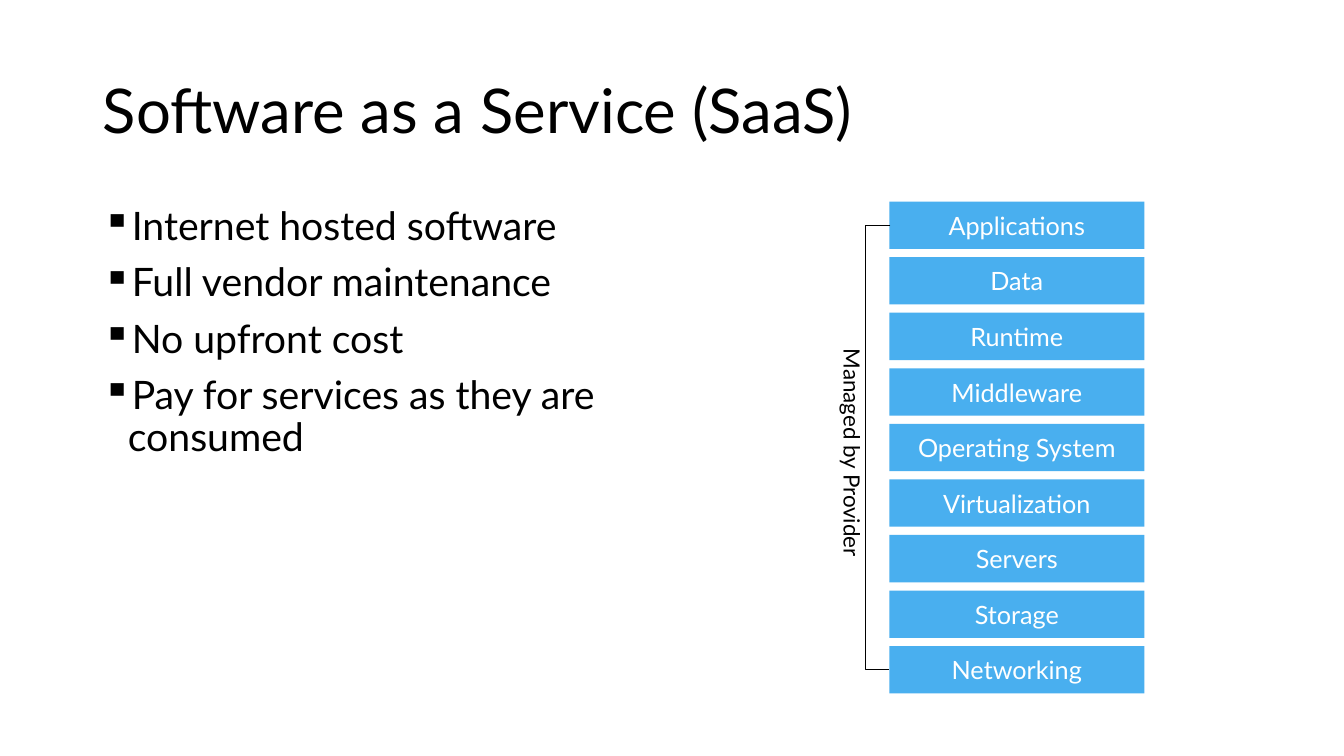
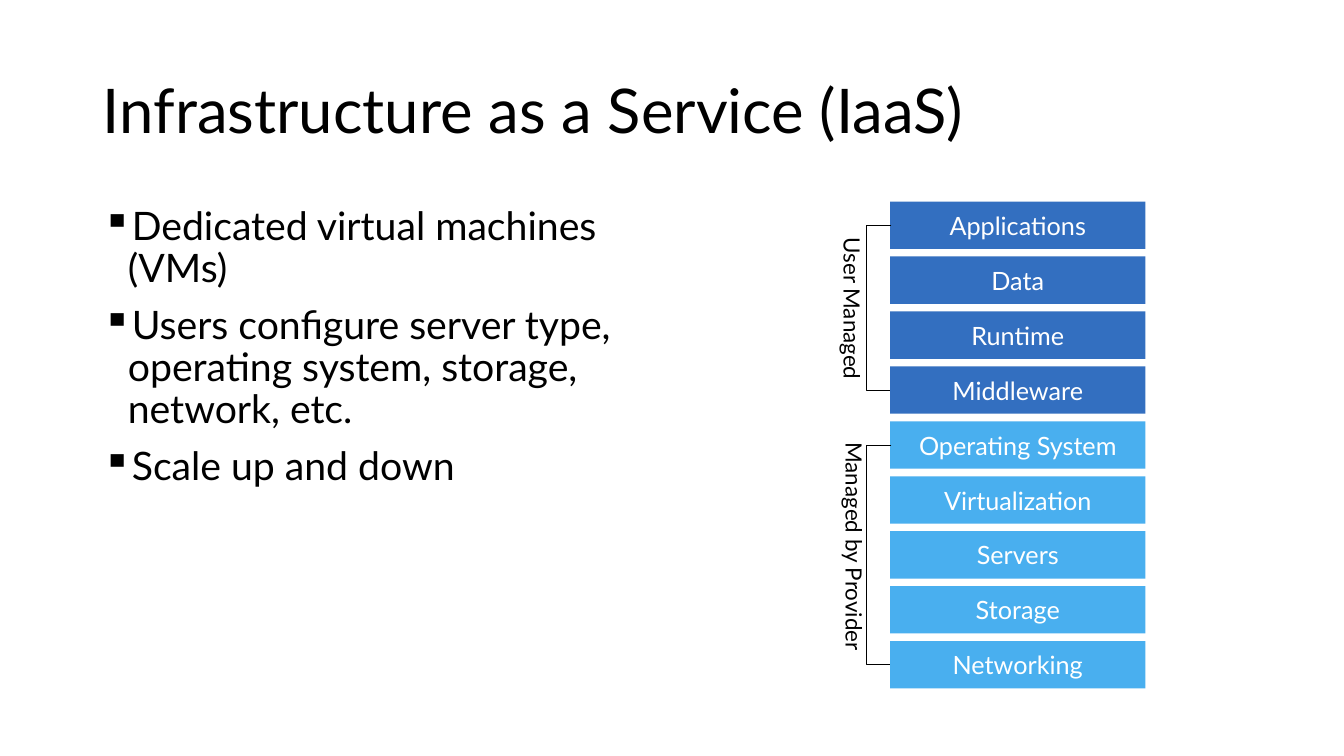
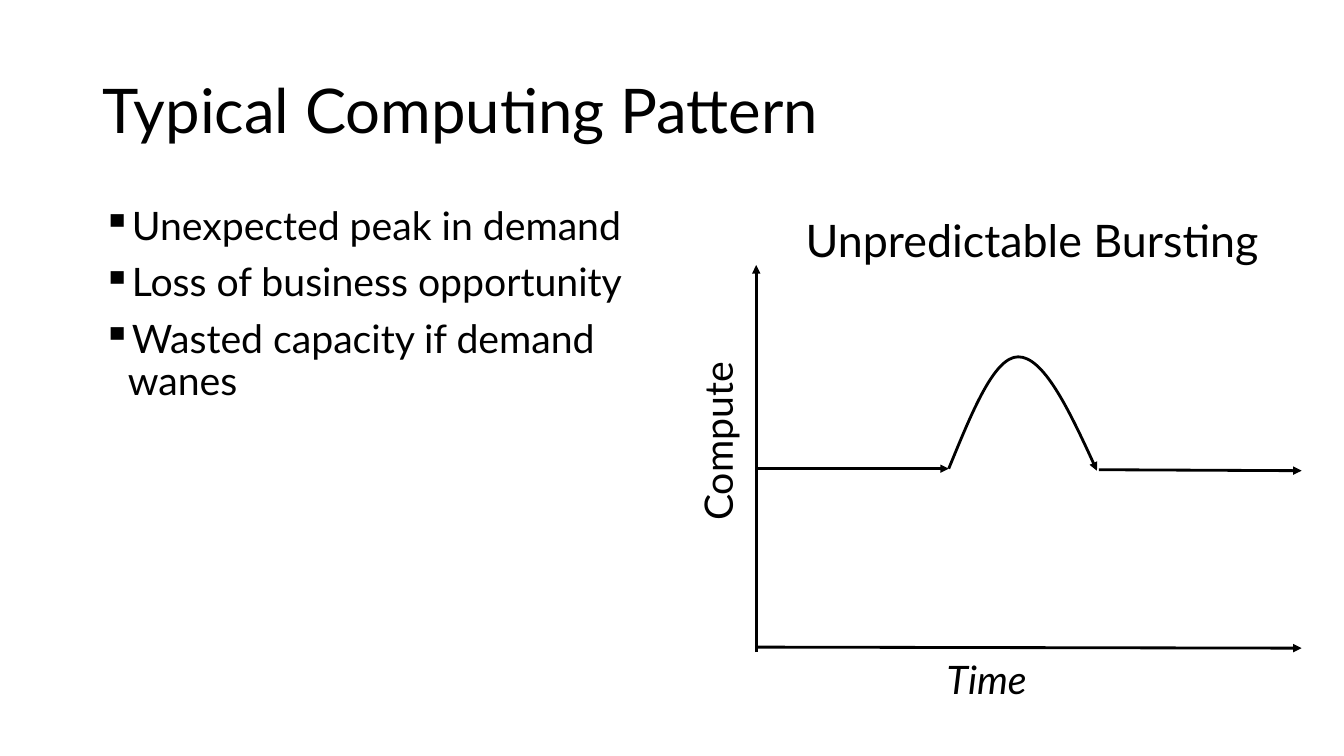
import pptx
import pptx.dml.color
import pptx.enum.dml
import pptx.enum.shapes
import pptx.enum.text
import pptx.oxml.ns
import pptx.util

FONT = "Lato"
BLACK = pptx.dml.color.RGBColor(0x00, 0x00, 0x00)
WHITE = pptx.dml.color.RGBColor(0xFF, 0xFF, 0xFF)
LIGHT = pptx.dml.color.RGBColor(0x49, 0xAF, 0xEF)
DARK = pptx.dml.color.RGBColor(0x33, 0x6F, 0xC0)

LAYERS = ["Applications", "Data", "Runtime", "Middleware", "Operating System",
          "Virtualization", "Servers", "Storage", "Networking"]
TITLE = (0.92, 0.4, 11.5, 1.45)
BODY = (0.92, 2, 5.67, 4.76)
LAYER = 0.47
REACH = 0.25
HAIR = 0.01


def inch(*sizes):
    """Turn numbers into lengths."""
    return [pptx.util.Inches(size) for size in sizes]


def find(shape, tag):
    """Return the first XML part of a shape with this tag."""
    return shape.element.find(".//" + pptx.oxml.ns.qn(tag))


def write(para, text, size, color=BLACK, italic=None):
    """Add one run of text."""
    run = para.add_run()
    run.text = text
    run.font.name = FONT
    run.font.size = pptx.util.Pt(size)
    run.font.color.rgb = color
    run.font.italic = italic


def label(slide, box, text, size, pads=(0, 0), space=None, italic=None):
    """Place a one-line text box and return it."""
    shape = slide.shapes.add_textbox(*inch(*box))
    frame = shape.text_frame
    frame.word_wrap = True
    frame.margin_left = frame.margin_right = pptx.util.Inches(pads[0])
    frame.margin_top = frame.margin_bottom = pptx.util.Inches(pads[1])
    para = frame.paragraphs[0]
    para.line_spacing = space
    write(para, text, size, italic=italic)
    return shape


def stroke(shape, width, arrow=True):
    """Give a line its black pen and arrowhead."""
    shape.line.color.rgb = BLACK
    shape.line.width = pptx.util.Pt(width)
    if arrow:
        pen = find(shape, "a:ln")
        pen.append(pen.makeelement(pptx.oxml.ns.qn("a:tailEnd"), {"type": "triangle"}))


def link(slide, kind, ends, width, arrow=True):
    """Draw a connector without shadow."""
    line = slide.shapes.add_connector(kind, *inch(*ends))
    stroke(line, width, arrow)
    props = find(line, "p:spPr")
    props.append(props.makeelement(pptx.oxml.ns.qn("a:effectLst"), {}))
    return line


def start(deck, title, points):
    """Add a slide with its title and bullets."""
    slide = deck.slides.add_slide(deck.slide_layouts[5])
    head = slide.shapes.title
    head.left, head.top, head.width, head.height = inch(*TITLE)
    head.text_frame.vertical_anchor = pptx.enum.text.MSO_ANCHOR.MIDDLE
    para = head.text_frame.paragraphs[0]
    para.alignment = pptx.enum.text.PP_ALIGN.LEFT
    para.line_spacing = 0.9
    write(para, title, 44)
    bullets(slide, BODY, points)
    return slide


def bullets(slide, box, points):
    """List the points with square bullets."""
    frame = slide.shapes.add_textbox(*inch(*box)).text_frame
    frame.word_wrap = True
    for spot, point in enumerate(points):
        para = frame.add_paragraph() if spot else frame.paragraphs[0]
        para.line_spacing = 0.9
        para.space_before = pptx.util.Pt(10)
        write(para, point, 28)
        props = para._p.get_or_add_pPr()
        props.set("marL", str(pptx.util.Inches(0.25)))
        props.set("indent", str(pptx.util.Inches(-0.25)))
        mark = props.makeelement(pptx.oxml.ns.qn("a:buChar"), {"char": "▪"})
        props.append(mark)


def stack(slide, box, owned, groups):
    """Draw the layers, the top ones owned by the user, and their brackets."""
    left, top, width, height = box
    step = (height - LAYER) / (len(LAYERS) - 1)
    for row, name in enumerate(LAYERS):
        place = inch(left, top + row * step, width, LAYER)
        bar = slide.shapes.add_shape(pptx.enum.shapes.MSO_SHAPE.RECTANGLE, *place)
        bar.shadow.inherit = False
        bar.fill.solid()
        bar.fill.fore_color.rgb = DARK if row < owned else LIGHT
        bar.line.fill.background()
        bar.text_frame.vertical_anchor = pptx.enum.text.MSO_ANCHOR.MIDDLE
        para = bar.text_frame.paragraphs[0]
        para.alignment = pptx.enum.text.PP_ALIGN.CENTER
        write(para, name, 18, WHITE)
    for first, last, text, right, down, length in groups:
        middle = top + LAYER / 2
        bracket(slide, left, middle + first * step, middle + last * step)
        note = label(slide, (left + right, top + down, 0.25, length), text, 16, space=0.9)
        note.text_frame.word_wrap = False
        note.text_frame.auto_size = pptx.enum.text.MSO_AUTO_SIZE.SHAPE_TO_FIT_TEXT
        find(note, "a:bodyPr").set("vert", "eaVert")


def bracket(slide, left, top, bottom):
    """Join two layers by an elbow that bulges to the left."""
    line = link(slide, pptx.enum.shapes.MSO_CONNECTOR.ELBOW,
                (left, top, left + HAIR, bottom), 0.5, False)
    frame = find(line, "a:xfrm")
    frame.set("rot", "10800000")
    frame.set("flipV", "1")
    bends = find(line, "a:avLst")
    ratio = round(REACH / HAIR * 100000)
    bends.append(bends.makeelement(pptx.oxml.ns.qn("a:gd"),
                                   {"name": "adj1", "fmla": f"val {ratio}"}))


def curve(slide, points):
    """Draw an arrow along cubic curves through the control points."""
    spots = [tuple(inch(*point)) for point in points]
    maker = slide.shapes.build_freeform(*spots[0])
    maker.add_line_segments(spots[1:], close=False)
    shape = maker.convert_to_shape()
    shape.shadow.inherit = False
    shape.fill.background()
    stroke(shape, 2)
    trace = find(shape, "a:path")
    lines = trace.findall(pptx.oxml.ns.qn("a:lnTo"))
    for first in range(0, len(lines), 3):
        bend = trace.makeelement(pptx.oxml.ns.qn("a:cubicBezTo"), {})
        for line in lines[first:first + 3]:
            bend.append(line[0])
            trace.remove(line)
        trace.append(bend)


def burst(slide, box):
    """Sketch compute demand over time with one peak."""
    left, top, width, height = box
    right, base = left + width, top + height
    level = top + 2.02
    rise, fall = left + 1.91, left + 3.38
    for ends in [(left, base, left, top),
                 (left, base - 0.05, right, base - 0.04),
                 (left, level, rise, level),
                 (fall + 0.02, level + 0.01, right, level + 0.02)]:
        link(slide, pptx.enum.shapes.MSO_CONNECTOR.STRAIGHT, ends, 2)
    crest = level - 1.11
    curve(slide, [(rise, level), (rise + 0.23, level - 0.56), (rise + 0.45, crest),
                  (rise + 0.69, crest), (rise + 0.94, crest),
                  (rise + 1.21, level - 0.55), (fall, level + 0.02)])
    label(slide, (left + 1.89, base + 0.03, 1.96, 0.58), "Time", 28, italic=True)
    label(slide, (left + 0.49, top - 0.51, 4.77, 0.59), "Unpredictable Bursting", 32,
          (0, 0.05), 0.9)
    side = label(slide, (left - 2.42, top + 1.62, 4.4, 0.26), "Compute", 28,
                 (0.1, 0.05), pptx.util.Pt(10.7))
    side.text_frame.paragraphs[0].alignment = pptx.enum.text.PP_ALIGN.CENTER
    side.rotation = 270


def main():
    """Build the deck."""
    deck = pptx.Presentation()
    deck.slide_width, deck.slide_height = inch(13.33, 7.5)

    slide = start(deck, "Software as a Service (SaaS)", [
        "Internet hosted software", "Full vendor maintenance", "No upfront cost",
        "Pay for services as they are consumed"])
    stack(slide, (8.82, 2, 2.53, 4.88), 0,
          [(0, 8, "Managed by Provider", -0.51, 1.46, 2.13)])

    slide = start(deck, "Infrastructure as a Service (IaaS)", [
        "Dedicated virtual machines (VMs)",
        "Users configure server type, operating system, storage, network, etc.",
        "Scale up and down"])
    stack(slide, (8.83, 2, 2.53, 4.83), 4,
          [(0, 3, "User Managed", -0.52, 0.36, 1.47),
           (4, 8, "Managed by Provider", -0.5, 2.39, 2.13)])

    slide = start(deck, "Typical Computing Pattern", [
        "Unexpected peak in demand", "Loss of business opportunity",
        "Wasted capacity if demand wanes"])
    burst(slide, (7.5, 2.63, 5.41, 3.84))
    deck.save("out.pptx")


if __name__ == "__main__":
    main()
